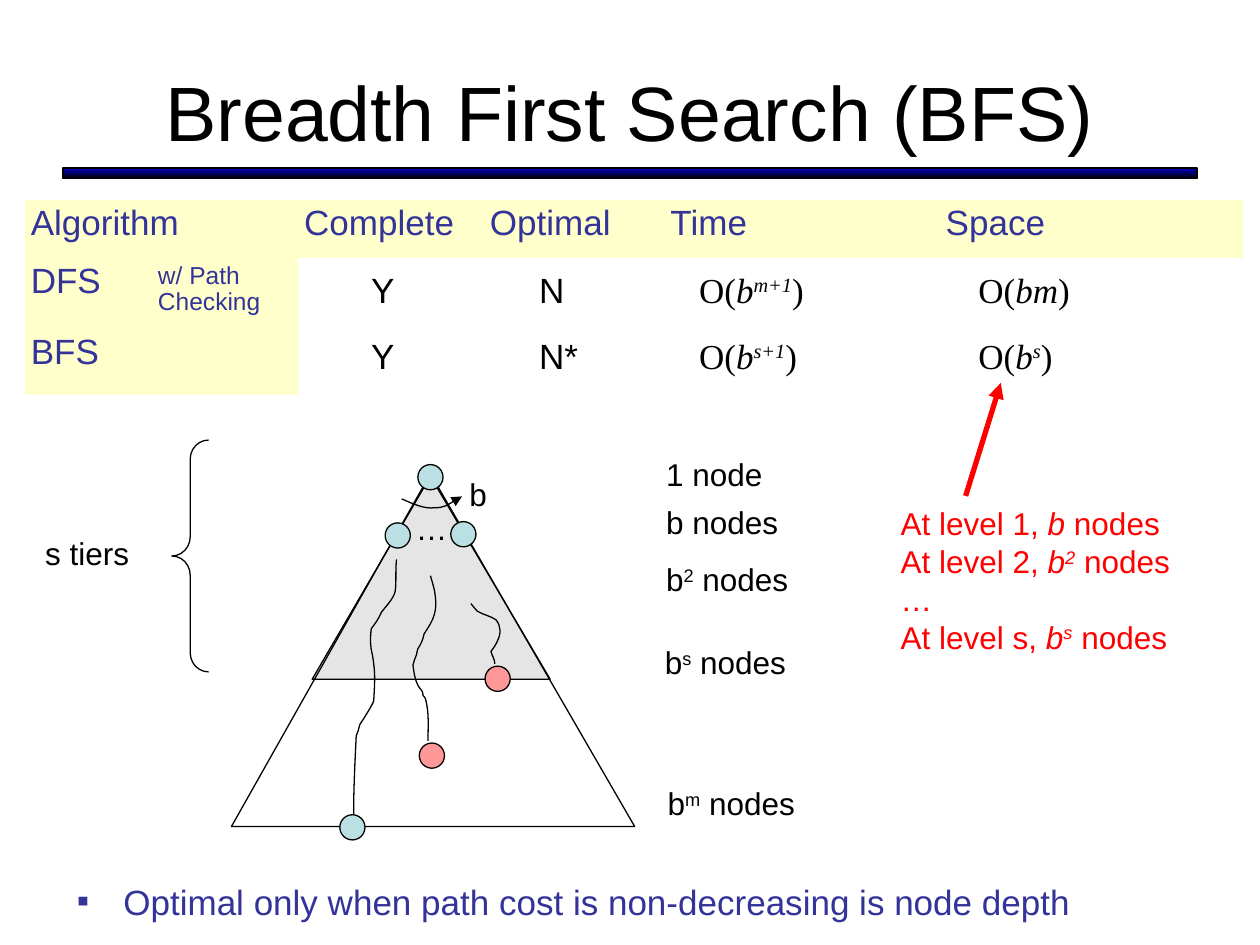
from dataclasses import dataclass

from lxml import etree
from pptx import Presentation
from pptx.dml.color import RGBColor
from pptx.enum.shapes import MSO_CONNECTOR, MSO_SHAPE
from pptx.enum.text import MSO_ANCHOR, MSO_AUTO_SIZE, PP_ALIGN
from pptx.oxml.ns import qn
from pptx.util import Pt

RECT, OVAL, BRACE = MSO_SHAPE.RECTANGLE, MSO_SHAPE.OVAL, MSO_SHAPE.LEFT_BRACE
STRAIGHT = MSO_CONNECTOR.STRAIGHT
MIDDLE, BOTTOM = MSO_ANCHOR.MIDDLE, MSO_ANCHOR.BOTTOM
CENTER, LEFT = PP_ALIGN.CENTER, PP_ALIGN.LEFT
NO_FIT = MSO_AUTO_SIZE.NONE
PLAIN_TABLE = "{2D5ABB26-0587-4C30-8999-92F81FD0307C}"


@dataclass(frozen=True)
class Theme:
    """Colours, fonts and sizes of the slide."""
    ink: str = "000000"
    accent: str = "333399"
    bar: str = "0000CC"
    cell: str = "FFFFCC"
    shade: str = "808080"
    node: str = "BBE0E3"
    goal: str = "FF9999"
    alert: str = "FF0000"
    sans: str = "Arial"
    serif: str = "Times New Roman"
    title: float = 44
    body: float = 20
    label: float = 18
    small: float = 14
    hairline: float = 0.75
    arrow: float = 3


T = Theme()


def rgb(value):
    """Turn a hex string into a colour."""
    return RGBColor.from_string(value)


def child(parent, tag, **attrs):
    """Append a DrawingML element."""
    return etree.SubElement(parent, qn(tag), attrs)


def write(tf, paras, size, color=T.ink, font=T.sans):
    """Write paragraphs of (text, flags) runs; i is italic, ^ is superscript."""
    for n, runs in enumerate(paras):
        p = tf.add_paragraph() if n else tf.paragraphs[0]
        p.font.size, p.font.name = Pt(size), font
        p.font.color.rgb = rgb(color)
        for text, flags in runs:
            r = p.add_run()
            r.text = text
            if "i" in flags:
                r.font.italic = True
            if "^" in flags:
                r._r.get_or_add_rPr().set("baseline", "30000")


def add_text(s, box, paras, size, color=T.ink, font=T.sans):
    """Add a wrapped text box."""
    tf = s.shapes.add_textbox(*map(Pt, box)).text_frame
    tf.word_wrap = True
    write(tf, paras, size, color, font)


def finish(sp, fill=None):
    """Give a shape its fill and thin outline."""
    sp.shadow.inherit = False
    if fill:
        sp.fill.solid()
        sp.fill.fore_color.rgb = rgb(fill)
    else:
        sp.fill.background()
    sp.line.color.rgb, sp.line.width = rgb(T.ink), Pt(T.hairline)
    return sp


def add_path(s, x, y, points, close=False, fill=None):
    """Draw a freeform through points relative to x, y."""
    pts = [(Pt(x + dx), Pt(y + dy)) for dx, dy in points]
    fb = s.shapes.build_freeform(*pts[0], scale=1.0)
    fb.add_line_segments(pts[1:], close=close)
    return finish(fb.convert_to_shape(), fill)


def add_curve(s, x, y, points):
    """Draw a Bézier curve: a start, then two controls and an end for each piece."""
    sp = add_path(s, x, y, points)
    path = next(sp._element.iter(qn("a:path")))
    lines = path.findall(qn("a:lnTo"))
    for n, line in enumerate(lines):
        if n % 3 == 0:
            piece = child(path, "a:cubicBezTo")
        piece.append(line[0])
        path.remove(line)
    return sp


def title_region(s, box):
    """Place the title and the bar beneath it."""
    x, y, w, h = box
    sp = s.shapes.title
    sp.left, sp.top, sp.width, sp.height = map(Pt, box)
    tf = sp.text_frame
    tf.auto_size, tf.vertical_anchor = NO_FIT, MIDDLE
    write(tf, [[("Breadth First Search (BFS)", "")]], T.title)
    tf.paragraphs[0].alignment = CENTER
    bar = finish(s.shapes.add_shape(RECT, Pt(x), Pt(y + h - 12), Pt(w), Pt(6)))
    bar.fill.gradient()
    bar.fill.gradient_angle = 90
    for stop, color, pos in zip(bar.fill.gradient_stops, (T.ink, T.bar), (0, 1)):
        stop.color.rgb, stop.position = rgb(color), pos


def comparison(s, box):
    """Place the algorithm table and the values over its cells."""
    x, y, w, h = box
    cols, rows = (72.7, 83.5, 106.2, 103.2, 157.3, 173.4), (32.9, 40.7, 37.8)
    table = s.shapes.add_table(3, 6, *map(Pt, box)).table
    table.first_row = table.horz_banding = False
    table._tbl.tblPr.find(qn("a:tableStyleId")).text = PLAIN_TABLE
    for col, width in zip(table.columns, cols):
        col.width = Pt(width)
    for row, height in zip(table.rows, rows):
        row.height = Pt(height)
    words = (("Algorithm", "", "Complete", "Optimal", "Time", "Space"),
             ("DFS", "w/ Path Checking"), ("BFS",))
    for i in range(3):
        for j in range(6):
            cell = table.cell(i, j)
            cell.margin_left = Pt(3.6)
            if i == 0 or j < 2:
                cell.fill.solid()
                cell.fill.fore_color.rgb = rgb(T.cell)
            else:
                cell.fill.background()
            if j < len(words[i]) and words[i][j]:
                size = T.small if (i, j) == (1, 1) else T.body
                write(cell.text_frame, [[(words[i][j], "")]], size, T.accent)
                cell.text_frame.paragraphs[0].line_spacing = 0.93
    table.cell(0, 0).merge(table.cell(0, 1))
    slots = ((191, 48), (287, 48), (378.4, 150), (538, 108))
    values = (("Y", "N", [("b", "i"), ("m+1", "i^")], [("bm", "i")]),
              ("Y", "N*", [("b", "i"), ("s+1", "i^")], [("b", "i"), ("s", "i^")]))
    for n, row in enumerate(values):
        for (dx, width), value in zip(slots, row):
            plain = isinstance(value, str)
            runs = [(value, "")] if plain else [("O(", ""), *value, (")", "")]
            add_text(s, (x + dx, y + 35.3 + 37.8 * n, width, 31.7), [runs],
                     T.body, font=T.sans if plain else T.serif)


def search_tree(s, box):
    """Draw the search tree with its nodes and paths."""
    x, y, w, h = box
    searched = add_path(s, x, y, [(114.2, 7.2), (46.6, 123.1), (182.6, 123.1)], True, T.shade)
    child(searched.fill._xPr.find(qn("a:solidFill"))[0], "a:alpha", val="20000")
    add_path(s, x, y, [(0.5, h), (w, h), (114.2, 5.7)], True)
    paths = (
        [(94.8, 54.7), (94.1, 61.2), (94.8, 66.9), (94.1, 72.7), (93.4, 77), (88.3, 82),
         (86.2, 84.9), (84.7, 88.5), (82.6, 91.4), (80.4, 94.3), (79.7, 99.3), (79.7, 104.4),
         (81.1, 109.4), (82.6, 119.5), (82.6, 121.6), (81.8, 135.3), (81.8, 136.8),
         (75.4, 146.8), (73.9, 149), (72.5, 154), (73.2, 151.9), (71.8, 155.5),
         (71, 172), (70.3, 185), (70.3, 200.8)],
        [(114.2, 64), (115, 66.9), (115.7, 69.1), (116.4, 72), (118.6, 84.2), (116.4, 88.5),
         (110.6, 97.2), (109.9, 100.8), (108.5, 103.6), (107, 105.8), (105.6, 110.8),
         (107, 107.2), (105.6, 110.8), (104.9, 112.3), (104.2, 115.2), (104.2, 115.2),
         (104.9, 120.2), (105.6, 126), (109.2, 129.6), (109.9, 130.3), (109.9, 131.7),
         (109.9, 132.4), (110.6, 133.2), (111.4, 133.9), (111.4, 134.6), (113.5, 142.5),
         (112.8, 149.7), (112.8, 158.4)],
        [(137.3, 79.9), (138.7, 81.3), (139.4, 82.8), (140.9, 84.2), (144.5, 86.4),
         (148.8, 87.1), (151.7, 89.2), (154.6, 92.8), (154.6, 97.2), (152.4, 101.5),
         (151.7, 103.6), (148.8, 107.2), (148.8, 107.2), (149.5, 110.1), (151, 111.6),
         (151, 114.4)],
        [(97.7, 20.1), (104.2, 23), (110.6, 25.9), (116.4, 25.2), (122.2, 25.2),
         (127.2, 21.6), (132.2, 18.7)])
    for points in paths:
        sp = add_curve(s, x, y, points)
    child(sp.line._get_or_add_ln(), "a:tailEnd", type="triangle")
    nodes = ((107, 0.5, T.node), (88.3, 33.8, T.node), (125.8, 33.1, T.node),
             (62.4, 200.6, T.node), (145.4, 115.7, T.goal), (107.8, 159.6, T.goal))
    for dx, dy, color in nodes:
        finish(s.shapes.add_shape(OVAL, Pt(x + dx), Pt(y + dy), Pt(14.4), Pt(14.4)), color)
    for text, dx, dy, width in (("…", 98.8, 22.3, 21.6), ("b", 129.4, 2.8, 23.8)):
        add_text(s, (x + dx, y + dy, width, 28.8), [[(text, "")]], T.label)


def tiers(s, box):
    """Place the brace and its label."""
    x, y, w, h = box
    brace = finish(s.shapes.add_shape(BRACE, Pt(x + w - 21), Pt(y), Pt(21), Pt(h)))
    brace.adjustments[0] = 0.52
    add_text(s, (x, y + 50.4, w, 28.8), [[("s tiers", "")]], T.label)


def level_counts(s, box):
    """List the node count of each level."""
    x, y, w, h = box
    levels = ((0, 0, "1", ""), (0, 27.4, "b", ""), (0, 60.2, "b", "2"),
              (-0.7, 107.8, "b", "s"), (0.9, 188.4, "b", "m"))
    for dx, dy, base, power in levels:
        unit = " nodes" if base == "b" else " node"
        runs = [(base, ""), (power, "^"), (unit, "")] if power else [(base + unit, "")]
        add_text(s, (x + dx, y + dy, w, 28.8), [runs], T.label)


def space_note(s, box):
    """Explain the space cost, with an arrow up to it."""
    x, y, w, h = box
    paras = [[("At level 1, ", ""), ("b", "i"), (" nodes", "")],
             [("At level 2, ", ""), ("b", "i"), ("2", "i^"), (" nodes", "")],
             [("…", "")],
             [("At level s, ", ""), ("b", "i"), ("s", "i^"), (" nodes", "")]]
    add_text(s, box, paras, T.label, T.alert)
    ends = (x + 44.2, y - 1.2, x + 64.3, y - 65.8)
    cn = s.shapes.add_connector(STRAIGHT, *map(Pt, ends))
    cn.line.color.rgb, cn.line.width = rgb(T.alert), Pt(T.arrow)
    child(cn.line._get_or_add_ln(), "a:tailEnd", type="triangle")
    child(cn._element.spPr, "a:effectLst")


def footnote(s, box):
    """Place the bulleted remark at the foot of the body placeholder."""
    sp = s.placeholders[1]
    sp.left, sp.top, sp.width, sp.height = map(Pt, box)
    tf = sp.text_frame
    tf.auto_size, tf.vertical_anchor = NO_FIT, BOTTOM
    remark = "Optimal only when path cost is non-decreasing is node depth"
    write(tf, [[(remark, "")]], T.body, T.accent)
    p = tf.paragraphs[0]
    p.alignment, p.line_spacing, p.space_before = LEFT, 0.8, Pt(0)
    pPr = p._p.get_or_add_pPr()
    pPr.set("marL", str(Pt(26.6)))
    pPr.set("indent", str(-Pt(26.6)))
    bullet = etree.Element(qn("a:buChar"), char="▪")
    pPr.find(qn("a:defRPr")).addprevious(bullet)


def main():
    """Build the slide and save it."""
    prs = Presentation()
    prs.slide_width, prs.slide_height = Pt(720), Pt(540)
    s = prs.slides.add_slide(prs.slide_layouts[1])
    title_region(s, (36, 18, 648, 90))
    footnote(s, (36.7, 113.8, 648, 416.6))
    comparison(s, (14, 114.5, 696.3, 111.4))
    search_tree(s, (131.8, 265, 230.9, 207.3))
    tiers(s, (18.7, 251.5, 100.5, 132.5))
    level_counts(s, (373.5, 256.3, 110, 216.7))
    space_note(s, (507.6, 284.6, 196.6, 93.6))
    prs.save("out.pptx")


if __name__ == "__main__":
    main()
